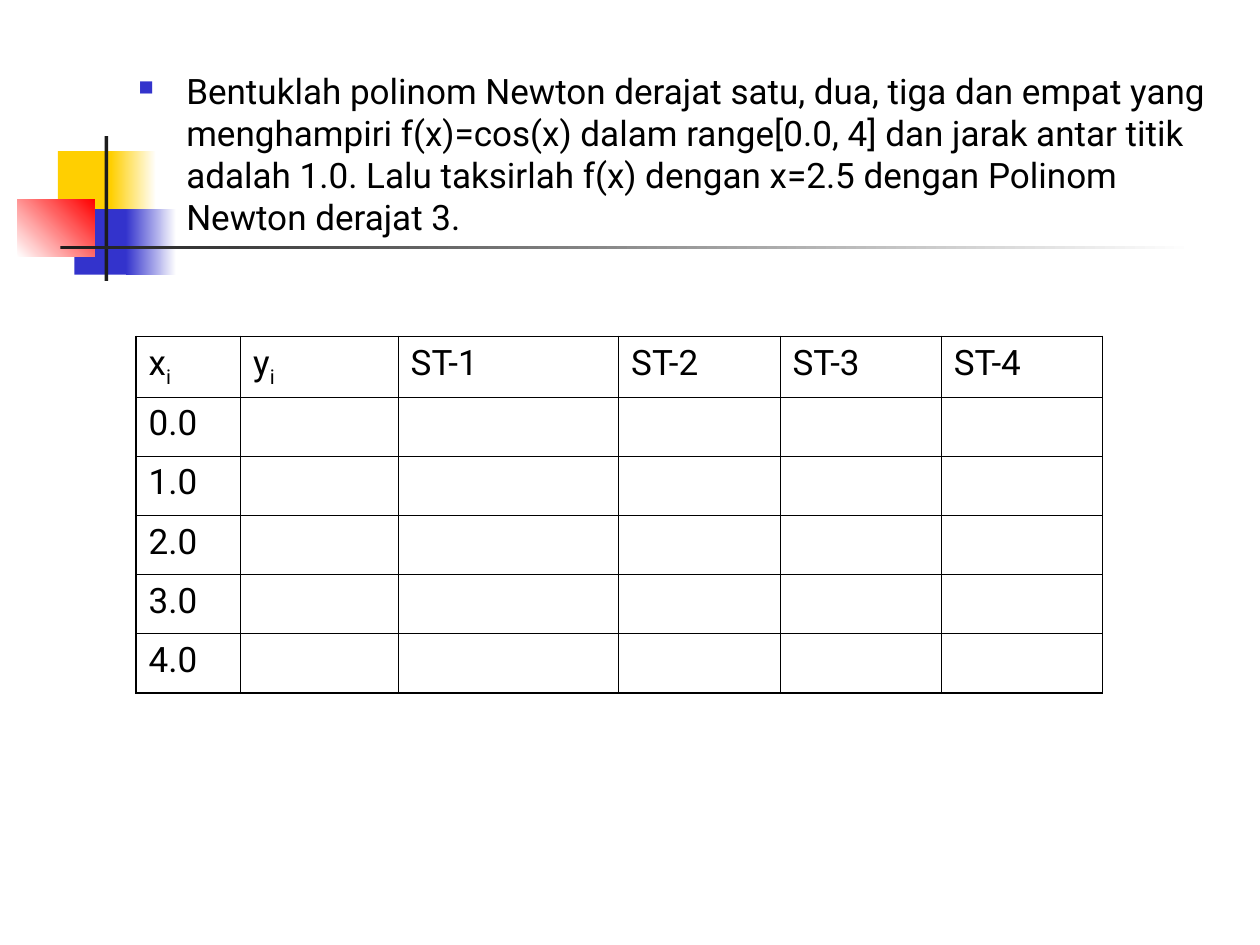
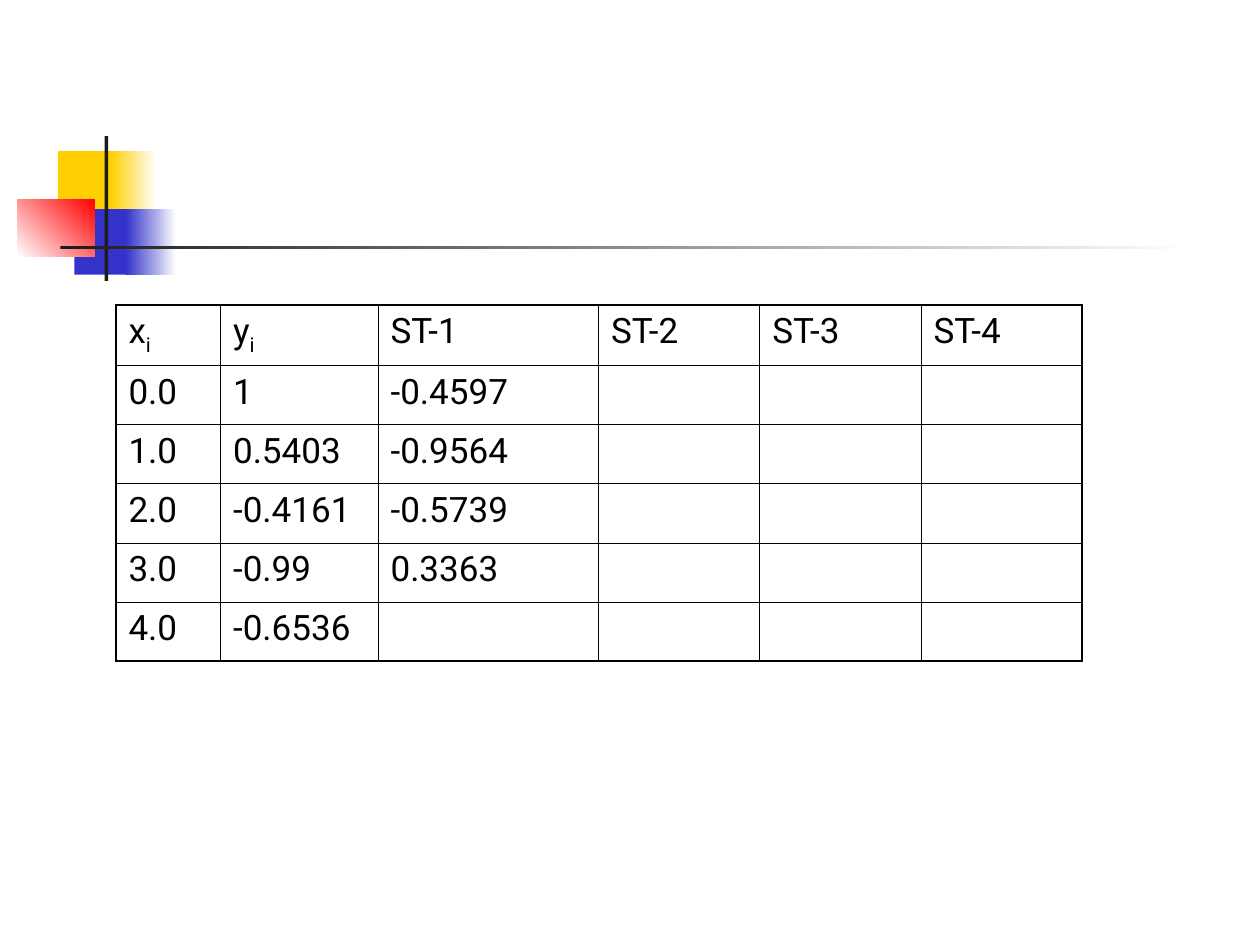
"""Builds two slides on Newton polynomials: the exercise and its difference table."""
from dataclasses import dataclass
from typing import Optional

import lxml.etree
import pptx
import pptx.dml.color
import pptx.enum.shapes
import pptx.oxml
import pptx.oxml.ns
import pptx.util

Inches = pptx.util.Inches
FONT = "Roboto"
BLACK, WHITE, CHARCOAL = "000000", "FFFFFF", "1C1C1C"
YELLOW, BLUE, RED = "FFCF01", "3333CC", "FF0000"
INNER_RULE, OUTER_RULE = 0.45, 1.08
BULLET_INDENT = 0.38
COLUMN_WIDTHS = [0.83, 1.25, 1.75, 1.28, 1.28, 1.28]
HEADER_HEIGHT, ROW_HEIGHT = 0.48, 0.47
HEADER = ["x_i", "y_i", "ST-1", "ST-2", "ST-3", "ST-4"]
POINTS = ["0.0", "1.0", "2.0", "3.0", "4.0"]
COSINES = ["1", "0.5403", "-0.4161", "-0.99", "-0.6536"]
FIRST_DIFFERENCES = ["-0.4597", "-0.9564", "-0.5739", "0.3363", ""]
EXERCISE = (
    "Bentuklah polinom Newton derajat satu, dua, tiga dan empat yang menghampiri "
    "f(x)=cos(x) dalam range[0.0, 4] dan jarak antar titik adalah 1.0. Lalu taksirlah "
    "f(x) dengan x=2.5 dengan Polinom Newton derajat 3."
)


@dataclass(frozen=True)
class Block:
    """A rectangle of the emblem, fading to a second colour if one is given."""

    left: float
    top: float
    width: float
    height: float
    color: str
    fade_to: Optional[str] = None
    angle: float = 0


EMBLEM = [
    Block(0.46, 1.2, 0.48, 0.52, YELLOW),
    Block(0.88, 1.2, 0.36, 0.52, YELLOW, WHITE),
    Block(0.59, 1.66, 0.46, 0.52, BLUE),
    Block(1, 1.66, 0.4, 0.52, BLUE, WHITE),
    Block(0.14, 1.58, 0.61, 0.46, WHITE, RED, 45),
    Block(0.83, 1.08, 0.03, 1.15, CHARCOAL),
    Block(0.48, 1.95, 9, 0.03, CHARCOAL, WHITE),
]


def rgb(color: str) -> pptx.dml.color.RGBColor:
    """Turn a hex string into a colour."""
    return pptx.dml.color.RGBColor.from_string(color)


def add_block(slide, block: Block) -> None:
    """Draw one rectangle of the emblem."""
    shape = slide.shapes.add_shape(
        pptx.enum.shapes.MSO_SHAPE.RECTANGLE,
        Inches(block.left), Inches(block.top), Inches(block.width), Inches(block.height),
    )
    shape.shadow.inherit = False
    shape.line.fill.background()
    if block.fade_to is None:
        shape.fill.solid()
        shape.fill.fore_color.rgb = rgb(block.color)
        return
    shape.fill.gradient()
    shape.fill.gradient_angle = block.angle
    for stop, color in zip(shape.fill.gradient_stops, (block.color, block.fade_to)):
        stop.color.rgb = rgb(color)


def add_bullet(paragraph, color: str) -> None:
    """Give a paragraph a hanging square bullet."""
    properties = paragraph._p.get_or_add_pPr()
    properties.set("marL", str(Inches(BULLET_INDENT)))
    properties.set("indent", str(-Inches(BULLET_INDENT)))
    qn = pptx.oxml.ns.qn
    bullet_color = lxml.etree.SubElement(properties, qn("a:buClr"))
    lxml.etree.SubElement(bullet_color, qn("a:srgbClr"), val=color)
    lxml.etree.SubElement(properties, qn("a:buSzPct"), val="60000")
    lxml.etree.SubElement(properties, qn("a:buChar"), char="■")


def write(frame, text: str, *, size: float = 20, color: str = BLACK,
          bullet: Optional[str] = None) -> None:
    """Write one paragraph, lowering whatever follows an underscore."""
    paragraph = frame.paragraphs[0]
    if bullet:
        add_bullet(paragraph, bullet)
    for level, part in enumerate(text.split("_")):
        run = paragraph.add_run()
        run.text = part
        run.font.name = FONT
        run.font.size = pptx.util.Pt(size)
        run.font.color.rgb = rgb(color)
        if level:
            run._r.get_or_add_rPr().set("baseline", "-25000")


def set_borders(cell, **widths: float) -> None:
    """Rule the sides of a cell, given in the order L, R, T, B."""
    properties = cell._tc.get_or_add_tcPr()
    for position, (side, width) in enumerate(widths.items()):
        properties.insert(position, pptx.oxml.parse_xml(
            f'<a:ln{side} {pptx.oxml.ns.nsdecls("a")} w="{int(pptx.util.Pt(width))}">'
            f'<a:solidFill><a:srgbClr val="{BLACK}"/></a:solidFill></a:ln{side}>'
        ))


def add_difference_table(slide, left: float, top: float, columns: list[list[str]]) -> None:
    """Draw the divided-difference table, with the given columns filled in."""
    row_count, column_count = len(POINTS) + 1, len(HEADER)
    table = slide.shapes.add_table(
        row_count, column_count, Inches(left), Inches(top),
        Inches(sum(COLUMN_WIDTHS)), Inches(HEADER_HEIGHT + ROW_HEIGHT * len(POINTS)),
    ).table
    table.first_row = table.horz_banding = False
    for column, width in zip(table.columns, COLUMN_WIDTHS):
        column.width = Inches(width)
    for index, row in enumerate(table.rows):
        row.height = Inches(ROW_HEIGHT if index else HEADER_HEIGHT)

    def rule(is_edge: bool) -> float:
        """Choose the rule width for a side."""
        return OUTER_RULE if is_edge else INNER_RULE

    for r in range(row_count):
        for c in range(column_count):
            cell = table.cell(r, c)
            cell.fill.background()
            set_borders(cell, L=rule(c == 0), R=rule(c == column_count - 1),
                        T=rule(r == 0), B=rule(r == row_count - 1))
            text = HEADER[c] if r == 0 else columns[c][r - 1] if c < len(columns) else ""
            if text:
                write(cell.text_frame, text)


def add_base_slide(deck):
    """Add a blank slide with the emblem."""
    slide = deck.slides.add_slide(deck.slide_layouts[6])
    for block in EMBLEM:
        add_block(slide, block)
    return slide


def build_exercise(deck) -> None:
    """Build the slide with the exercise and the table to fill in."""
    slide = add_base_slide(deck)
    exercise = slide.shapes.add_textbox(Inches(1), Inches(0.5), Inches(8.75), Inches(4.5))
    exercise.text_frame.word_wrap = True
    write(exercise.text_frame, EXERCISE, bullet=BLUE)
    add_difference_table(slide, 1.08, 2.67, [POINTS])


def build_first_differences(deck) -> None:
    """Build the slide with the first differences worked out."""
    slide = add_base_slide(deck)
    add_difference_table(slide, 0.92, 2.42, [POINTS, COSINES, FIRST_DIFFERENCES])


def main() -> None:
    """Build and save the deck."""
    deck = pptx.Presentation()
    deck.slide_width, deck.slide_height = Inches(10), Inches(7.5)
    build_exercise(deck)
    build_first_differences(deck)
    deck.save("out.pptx")


if __name__ == "__main__":
    main()
